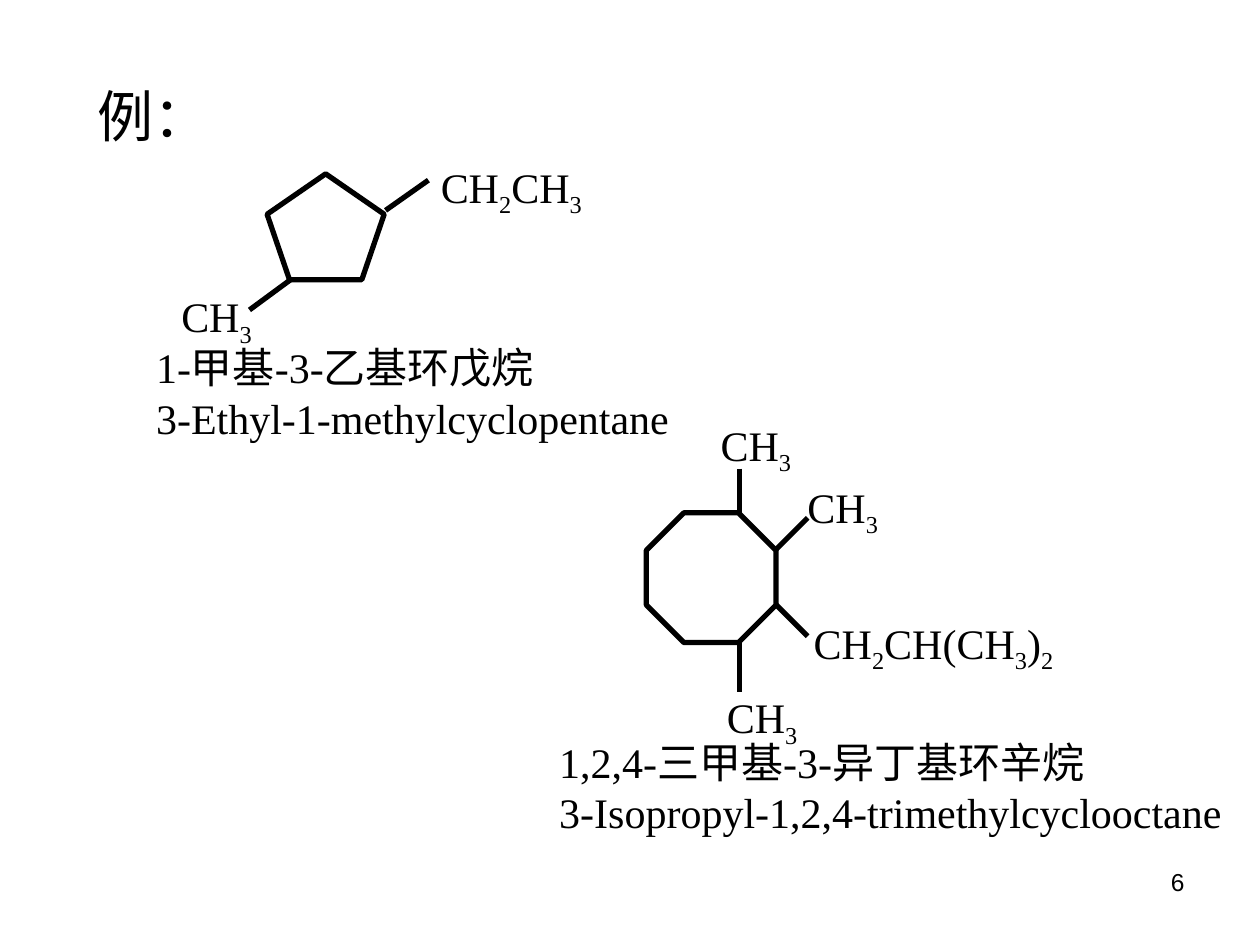
from dataclasses import dataclass
from itertools import groupby
from typing import Any

import pptx
import pptx.dml.color
import pptx.enum.shapes
import pptx.enum.text
import pptx.oxml.ns
import pptx.util
from lxml import etree

Inches = pptx.util.Inches
Pt = pptx.util.Pt
Shapes = pptx.enum.shapes.MSO_SHAPE
Align = pptx.enum.text.PP_ALIGN
AutoSize = pptx.enum.text.MSO_AUTO_SIZE


@dataclass(frozen=True)
class Theme:
    ink: pptx.dml.color.RGBColor = pptx.dml.color.RGBColor(0, 0, 0)
    heading_font: str = "Arial"
    formula_font: str = "Times New Roman"
    heading_size: int = 32
    formula_size: int = 24
    number_size: int = 14
    bond_width: int = 3
    subscript: str = "-25000"


@dataclass(frozen=True)
class Box:
    left: float
    top: float
    width: float
    height: float


@dataclass(frozen=True)
class Ring:
    kind: Any
    box: Box
    adjustments: tuple[float, ...] = ()


@dataclass(frozen=True)
class Bond:
    start: tuple[float, float]
    end: tuple[float, float]


@dataclass(frozen=True)
class Label:
    formula: str
    box: Box


@dataclass(frozen=True)
class Molecule:
    ring: Ring
    bonds: tuple[Bond, ...]
    labels: tuple[Label, ...]
    names: tuple[str, str]
    names_box: Box


THEME = Theme()
LABEL_HEIGHT = 0.56
METHYL_WIDTH = 0.89


def label(formula: str, left: float, top: float, width: float = METHYL_WIDTH) -> Label:
    return Label(formula, Box(left, top, width, LABEL_HEIGHT))


MOLECULES = (
    Molecule(
        Ring(Shapes.REGULAR_PENTAGON, Box(2.12, 1.38, 0.93, 0.84)),
        (Bond((3.06, 1.67), (3.4, 1.43)), Bond((1.98, 2.46), (2.32, 2.21))),
        (label("CH3", 1.34, 2.26), label("CH2CH3", 3.4, 1.23, 1.53)),
        ("1-甲基-3-乙基环戊烷", "3-Ethyl-1-methylcyclopentane"),
        Box(1.14, 2.71, 4.43, 0.86),
    ),
    Molecule(
        Ring(Shapes.OCTAGON, Box(5.13, 4.07, 1.03, 1.03), (0.29,)),
        (
            Bond((6.16, 4.36), (6.41, 4.11)),
            Bond((5.87, 3.72), (5.87, 4.07)),
            Bond((5.87, 5.1), (5.87, 5.49)),
            Bond((6.16, 4.8), (6.41, 5.05)),
        ),
        (
            label("CH3", 5.62, 3.28),
            label("CH3", 6.31, 3.77),
            label("CH3", 5.67, 5.44),
            label("CH2CH(CH3)2", 6.36, 4.85, 2.36),
        ),
        ("1,2,4-三甲基-3-异丁基环辛烷", "3-Isopropyl-1,2,4-trimethylcyclooctane"),
        Box(4.34, 5.84, 5.66, 0.86),
    ),
)


def apply_format(target: Any, values: dict[str, Any]) -> None:
    for name, value in values.items():
        setattr(target, name, value)


def lengths(box: Box) -> tuple[int, int, int, int]:
    return Inches(box.left), Inches(box.top), Inches(box.width), Inches(box.height)


def add_run(paragraph: Any, text: str, font_name: str, size: int) -> Any:
    run = paragraph.add_run()
    run.text = text
    apply_format(run.font, {"name": font_name, "size": Pt(size)})
    run.font.color.rgb = THEME.ink
    return run


def add_text_box(shapes: Any, box: Box, auto_size: Any) -> Any:
    shape = shapes.add_textbox(*lengths(box))
    apply_format(shape.text_frame, {"word_wrap": True, "auto_size": auto_size})
    return shape.text_frame


def style_line(shape: Any) -> None:
    shape.line.color.rgb = THEME.ink
    shape.line.width = Pt(THEME.bond_width)


def draw_ring(shapes: Any, ring: Ring) -> None:
    shape = shapes.add_shape(ring.kind, *lengths(ring.box))
    for index, value in enumerate(ring.adjustments):
        shape.adjustments[index] = value
    shape.shadow.inherit = False
    shape.fill.background()
    style_line(shape)


def draw_bond(shapes: Any, bond: Bond) -> None:
    ends = (Inches(value) for value in bond.start + bond.end)
    connector = shapes.add_connector(pptx.enum.shapes.MSO_CONNECTOR.STRAIGHT, *ends)
    style_line(connector)
    etree.SubElement(connector._element.spPr, pptx.oxml.ns.qn("a:effectLst"))


def draw_label(shapes: Any, item: Label) -> None:
    frame = add_text_box(shapes, item.box, AutoSize.SHAPE_TO_FIT_TEXT)
    paragraph = frame.paragraphs[0]
    paragraph.space_before = Pt(15)
    for is_count, characters in groupby(item.formula, str.isdigit):
        run = add_run(paragraph, "".join(characters), THEME.formula_font, THEME.formula_size)
        if is_count:
            run._r.get_or_add_rPr().set("baseline", THEME.subscript)


def draw_names(shapes: Any, names: tuple[str, str], box: Box) -> None:
    frame = add_text_box(shapes, box, AutoSize.SHAPE_TO_FIT_TEXT)
    for index, name in enumerate(names):
        paragraph = frame.add_paragraph() if index else frame.paragraphs[0]
        apply_format(paragraph, {"line_spacing": 0.9, "space_before": Pt(3)})
        add_run(paragraph, name, THEME.formula_font, THEME.formula_size)


def draw_molecule(slide: Any, molecule: Molecule) -> None:
    shapes = slide.shapes.add_group_shape().shapes
    draw_ring(shapes, molecule.ring)
    for bond in molecule.bonds:
        draw_bond(shapes, bond)
    for item in molecule.labels:
        draw_label(shapes, item)
    draw_names(shapes, molecule.names, molecule.names_box)


def draw_title(slide: Any, text: str, box: Box) -> None:
    title = slide.shapes.title
    apply_format(title, dict(zip(("left", "top", "width", "height"), lengths(box))))
    anchor = pptx.enum.text.MSO_ANCHOR.TOP
    apply_format(title.text_frame, {"vertical_anchor": anchor, "auto_size": AutoSize.NONE})
    paragraph = title.text_frame.paragraphs[0]
    apply_format(paragraph, {"alignment": Align.LEFT, "space_before": Pt(8)})
    add_run(paragraph, text, THEME.heading_font, THEME.heading_size)


def draw_page_number(slide: Any, number: str, box: Box) -> None:
    paragraph = add_text_box(slide.shapes, box, AutoSize.NONE).paragraphs[0]
    paragraph.alignment = Align.RIGHT
    add_run(paragraph, number, THEME.heading_font, THEME.number_size)


def main() -> None:
    presentation = pptx.Presentation()
    size = {"slide_width": Inches(10), "slide_height": Inches(7.5)}
    apply_format(presentation, size)
    slide = presentation.slides.add_slide(presentation.slide_layouts[5])
    draw_title(slide, "例：", Box(0.67, 0.6, 4.09, 0.74))
    for molecule in MOLECULES:
        draw_molecule(slide, molecule)
    draw_page_number(slide, "6", Box(7.17, 6.83, 2.33, 0.52))
    presentation.save("out.pptx")


if __name__ == "__main__":
    main()
